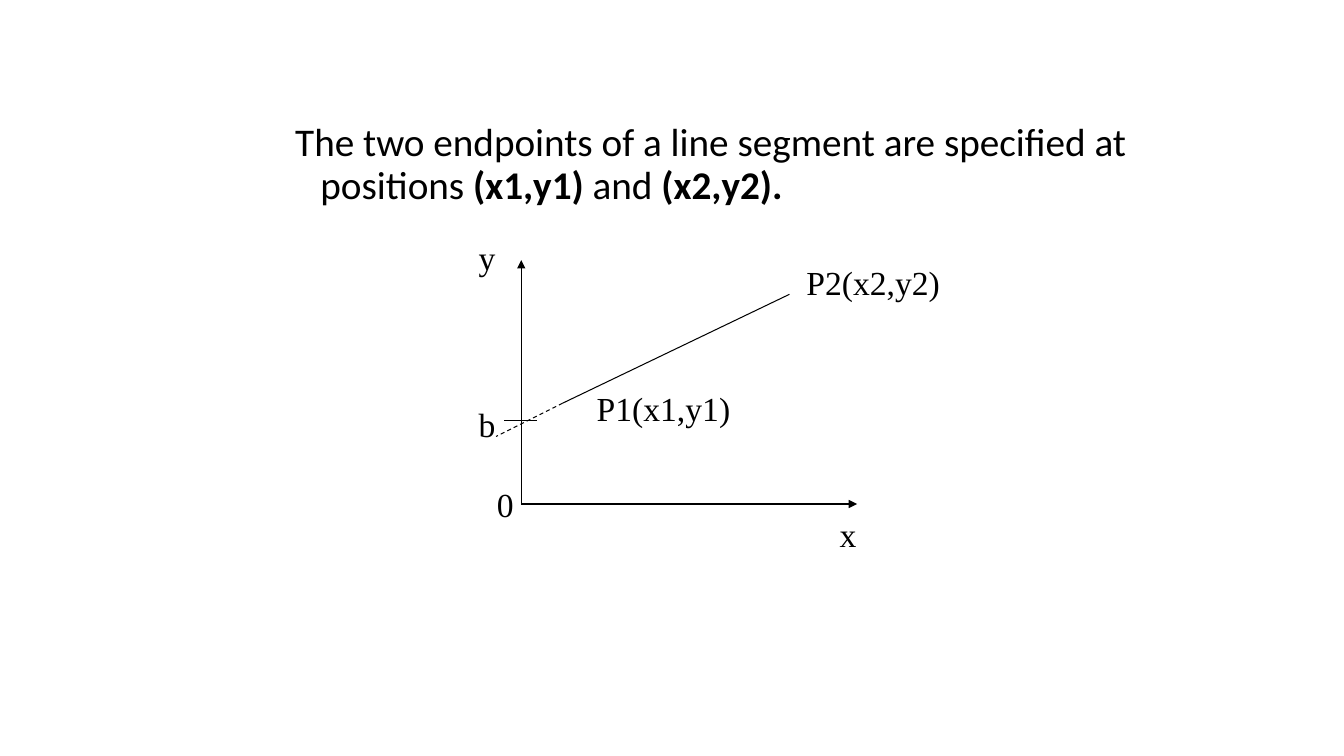
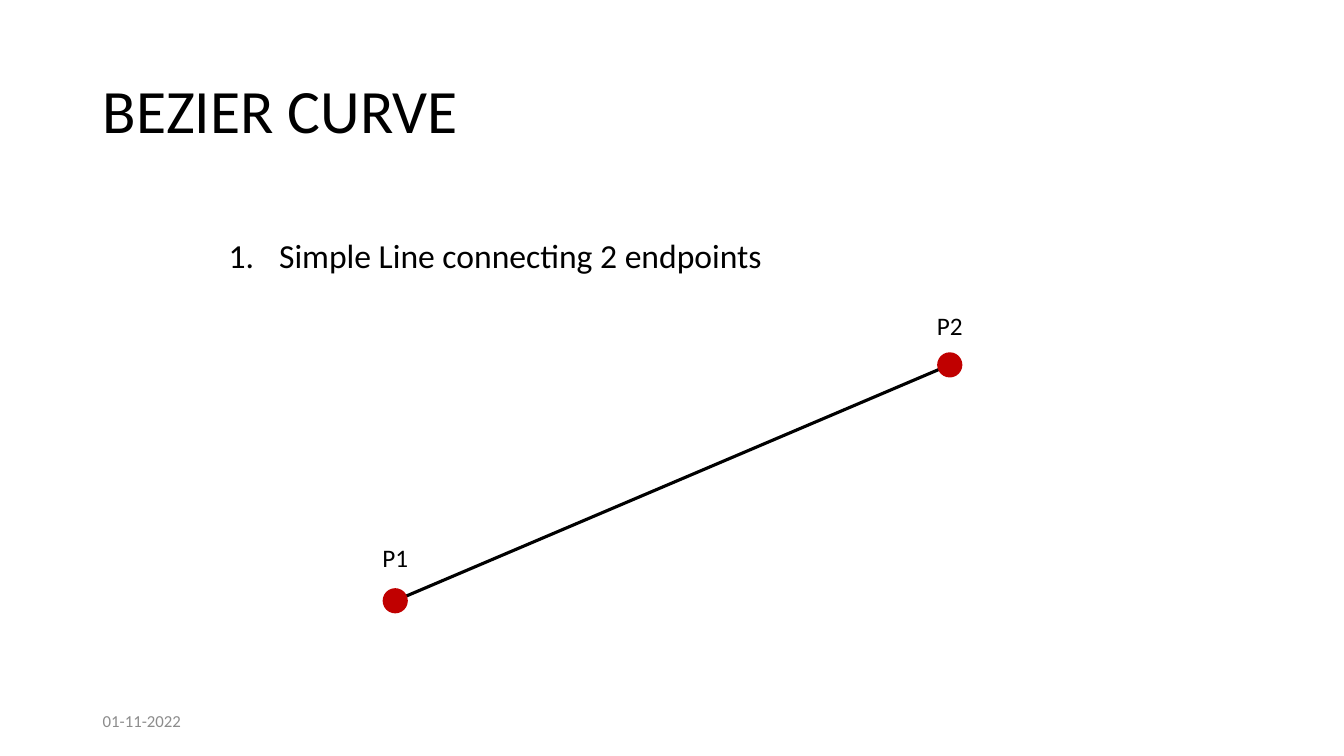
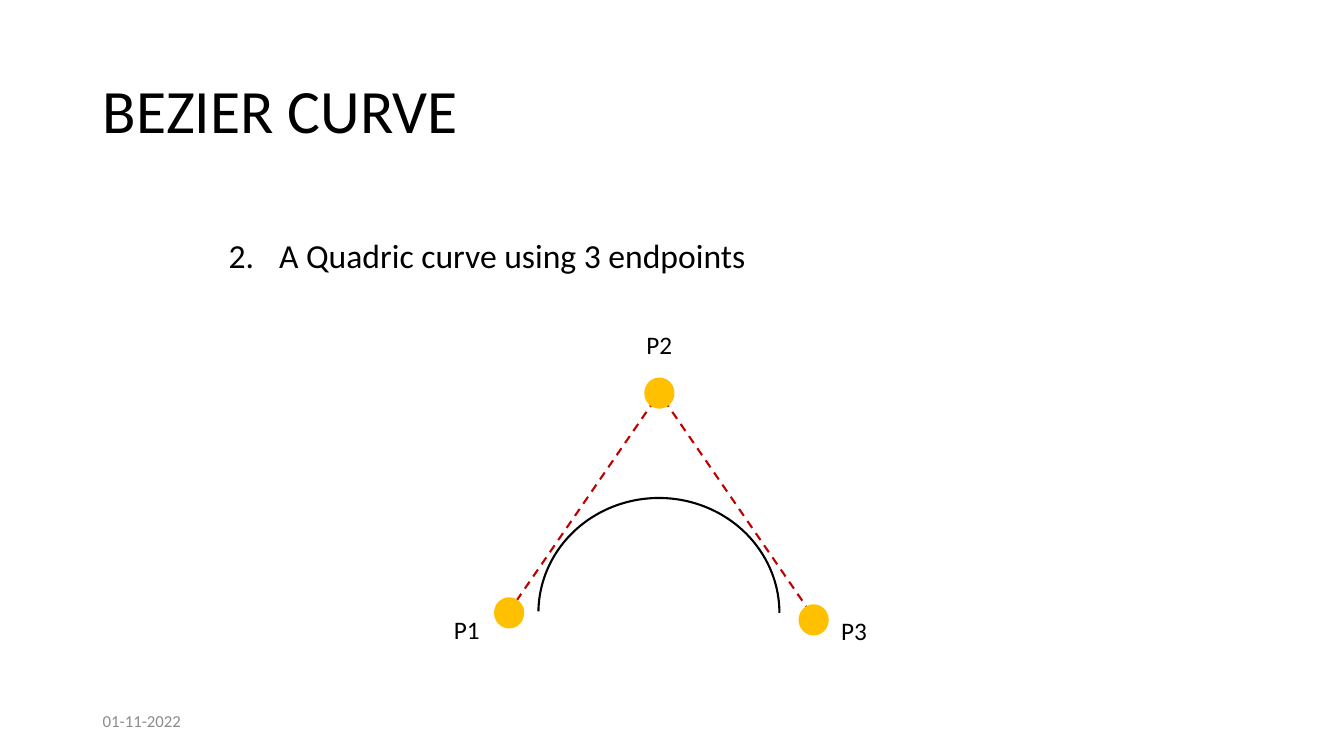
from dataclasses import dataclass

from pptx import Presentation
from pptx.dml.color import RGBColor
from pptx.enum.dml import MSO_LINE
from pptx.enum.shapes import MSO_CONNECTOR, MSO_SHAPE
from pptx.enum.text import MSO_ANCHOR, MSO_AUTO_SIZE, PP_ALIGN
from pptx.oxml.ns import qn
from pptx.util import Inches, Pt

DASH = MSO_LINE.DASH
STRAIGHT = MSO_CONNECTOR.STRAIGHT
ARC, OVAL = MSO_SHAPE.ARC, MSO_SHAPE.OVAL
MIDDLE, TOP = MSO_ANCHOR.MIDDLE, MSO_ANCHOR.TOP
FIT_SHAPE = MSO_AUTO_SIZE.SHAPE_TO_FIT_TEXT
LEFT, CENTER, JUSTIFY = PP_ALIGN.LEFT, PP_ALIGN.CENTER, PP_ALIGN.JUSTIFY
TITLE_ONLY, BLANK = 5, 6


@dataclass(frozen=True)
class Theme:
    text: str = "000000"
    muted: str = "8C8C8C"
    red: str = "C00000"
    amber: str = "FFC000"
    font: str = "Calibri"
    axis_font: str = "Times New Roman"
    title_size: int = 44
    statement_size: int = 28
    item_size: int = 24
    axis_size: int = 24
    point_size: int = 18
    date_size: int = 12
    thin: float = 0.75
    medium: float = 1.5
    thick: float = 2.25


@dataclass(frozen=True)
class Box:
    left: float
    top: float
    width: float
    height: float

    def at(self, x, y):
        """Turn an offset within the box into a slide position."""
        return self.left + x, self.top + y

    def inches(self):
        return [Inches(value) for value in (self.left, self.top, self.width, self.height)]


THEME = Theme()
TITLE_BOX = Box(0.92, 0.4, 11.5, 1.45)
ITEM_BOX = Box(2.17, 2.08, 9, 4.92)
DATE_BOX = Box(0.92, 6.95, 3, 0.4)


def add_run(paragraph, text, size, color=THEME.text, font=THEME.font, bold=False):
    run = paragraph.add_run()
    run.text = text
    run.font.size = Pt(size)
    run.font.name = font
    run.font.bold = bold
    run.font.color.rgb = RGBColor.from_string(color)


def add_text_box(slide, box, align=LEFT, anchor=TOP, wrap=True):
    """Add an empty text box and return its first paragraph."""
    frame = slide.shapes.add_textbox(*box.inches()).text_frame
    frame.word_wrap = wrap
    frame.vertical_anchor = anchor
    if not wrap:
        frame.auto_size = FIT_SHAPE
    paragraph = frame.paragraphs[0]
    paragraph.alignment = align
    return paragraph


def set_hanging_indent(paragraph, indent):
    properties = paragraph._p.get_or_add_pPr()
    properties.set("marL", str(Inches(indent)))
    properties.set("indent", str(-Inches(indent)))
    return properties


def add_line(slide, start, end, width, color=THEME.text, dashed=False, arrow=False):
    ends = [Inches(value) for value in (*start, *end)]
    connector = slide.shapes.add_connector(STRAIGHT, *ends)
    connector.line.color.rgb = RGBColor.from_string(color)
    connector.line.width = Pt(width)
    if dashed:
        connector.line.dash_style = DASH
    properties = connector._element.spPr
    if arrow:
        tail = properties.find(qn("a:ln")).makeelement(qn("a:tailEnd"), {"type": "triangle"})
        properties.find(qn("a:ln")).append(tail)
    properties.append(properties.makeelement(qn("a:effectLst"), {}))


def add_marker(slide, center, width, height, color):
    x, y = center
    box = Box(x - width / 2, y - height / 2, width, height)
    marker = slide.shapes.add_shape(OVAL, *box.inches())
    marker.shadow.inherit = False
    marker.fill.solid()
    marker.fill.fore_color.rgb = RGBColor.from_string(color)
    marker.line.fill.background()


def add_point_label(slide, text, center_x, top):
    width = 0.74
    box = Box(center_x - width / 2, top, width, 0.4)
    add_run(add_text_box(slide, box, align=CENTER), text, THEME.point_size)


def add_statement(slide, box):
    paragraph = add_text_box(slide, box)
    set_hanging_indent(paragraph, 0.25)
    paragraph.line_spacing = 0.9
    for text, bold in (
        ("The two endpoints of a line segment are specified at positions ", False),
        ("(x1,y1)", True),
        (" and ", False),
        ("(x2,y2).", True),
    ):
        add_run(paragraph, text, THEME.statement_size, bold=bold)


def draw_axes_diagram(slide, box):
    """Draw axes along the box's left and bottom, with a segment inside."""
    origin = box.at(0, box.height)
    segment_start = box.at(0.41, 1.42)
    for tip in (box.at(0, 0), box.at(box.width, box.height)):
        add_line(slide, origin, tip, THEME.thin, arrow=True)
    add_line(slide, segment_start, box.at(2.66, 0.34), THEME.thin)
    add_line(slide, segment_start, box.at(-0.25, 1.75), THEME.thin, dashed=True)
    add_line(slide, box.at(-0.17, 1.59), box.at(0.16, 1.59), THEME.thin)

    for text, x, y, width in (
        ("x", 3.06, 2.47, 0.37),
        ("y", -0.52, -0.28, 0.37),
        ("b", -0.52, 1.38, 0.37),
        ("0", -0.34, 2.17, 0.37),
        ("P1(x1,y1)", 0.65, 1.22, 1.53),
        ("P2(x2,y2)", 2.73, -0.03, 1.53),
    ):
        paragraph = add_text_box(slide, Box(*box.at(x, y), width, 0.5), wrap=False)
        add_run(paragraph, text, THEME.axis_size, font=THEME.axis_font)


def draw_line_diagram(slide, box):
    """Join the box's bottom-left and top-right corners."""
    start, end = box.at(0, box.height), box.at(box.width, 0)
    add_line(slide, start, end, THEME.thick)
    for text, center, label_rise in (("P1", start, 0.63), ("P2", end, 0.59)):
        add_marker(slide, center, 0.25, 0.25, THEME.red)
        add_point_label(slide, text, center[0], center[1] - label_rise)


def draw_quadric_diagram(slide, box):
    """Draw an arc under a dashed tent whose apex is the middle of the box's top."""
    arc = slide.shapes.add_shape(ARC, *Box(*box.at(0.3, 1.04), 2.39, 2.28).inches())
    arc.shadow.inherit = False
    arc.adjustments[0] = 108.4
    arc.adjustments[1] = 0
    arc.fill.background()
    arc.line.color.rgb = RGBColor.from_string(THEME.text)
    arc.line.width = Pt(THEME.medium)

    apex = box.at(box.width / 2, 0)
    for x in (0, box.width):
        add_line(slide, box.at(x, box.height), apex, THEME.medium, THEME.red, dashed=True)
    for text, center, label_x, label_y in (
        ("P1", box.at(0.01, 2.18), -0.42, -0.03),
        ("P2", apex, 0, -0.68),
        ("P3", box.at(3.03, 2.25), 0.4, -0.09),
    ):
        add_marker(slide, center, 0.3, 0.31, THEME.amber)
        add_point_label(slide, text, center[0] + label_x, center[1] + label_y)


def add_title(slide, box, text):
    title = slide.shapes.title
    title.left, title.top, title.width, title.height = box.inches()
    title.text_frame.vertical_anchor = MIDDLE
    paragraph = title.text_frame.paragraphs[0]
    paragraph.alignment = LEFT
    paragraph.line_spacing = 0.9
    add_run(paragraph, text, THEME.title_size)


def add_numbered_item(slide, box, number, text):
    paragraph = add_text_box(slide, box, align=JUSTIFY)
    properties = set_hanging_indent(paragraph, 0.5)
    numbering = {"type": "arabicPeriod", "startAt": str(number)}
    properties.append(properties.makeelement(qn("a:buAutoNum"), numbering))
    paragraph.line_spacing = 1.5
    add_run(paragraph, text, THEME.item_size)


def add_date(slide, box):
    add_run(add_text_box(slide, box, anchor=MIDDLE), "01-11-2022", THEME.date_size, THEME.muted)


def add_segment_slide(presentation):
    slide = presentation.slides.add_slide(presentation.slide_layouts[BLANK])
    add_statement(slide, Box(2.83, 1.17, 8.5, 6))
    draw_axes_diagram(slide, Box(5.17, 2.58, 3.33, 2.42))


def add_bezier_slide(presentation, number, text, draw_diagram, diagram_box):
    slide = presentation.slides.add_slide(presentation.slide_layouts[TITLE_ONLY])
    add_title(slide, TITLE_BOX, "BEZIER CURVE")
    add_numbered_item(slide, ITEM_BOX, number, text)
    add_date(slide, DATE_BOX)
    draw_diagram(slide, diagram_box)


def main():
    presentation = Presentation()
    presentation.slide_width, presentation.slide_height = Inches(13.33), Inches(7.5)
    add_segment_slide(presentation)
    add_bezier_slide(presentation, 1, "Simple Line connecting 2 endpoints",
                     draw_line_diagram, Box(3.92, 3.62, 5.5, 2.34))
    add_bezier_slide(presentation, 2, "A Quadric curve using 3 endpoints",
                     draw_quadric_diagram, Box(5.04, 3.9, 3, 2.18))
    presentation.save("out.pptx")


if __name__ == "__main__":
    main()
